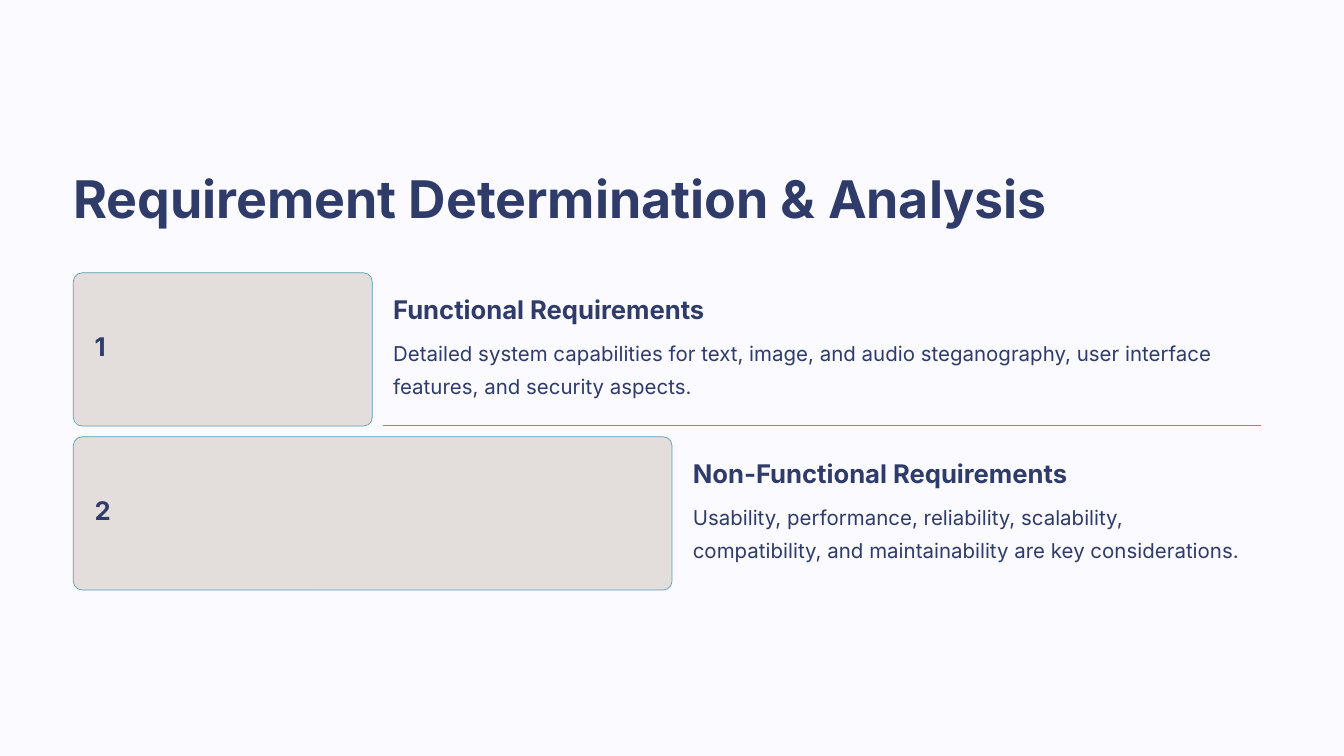
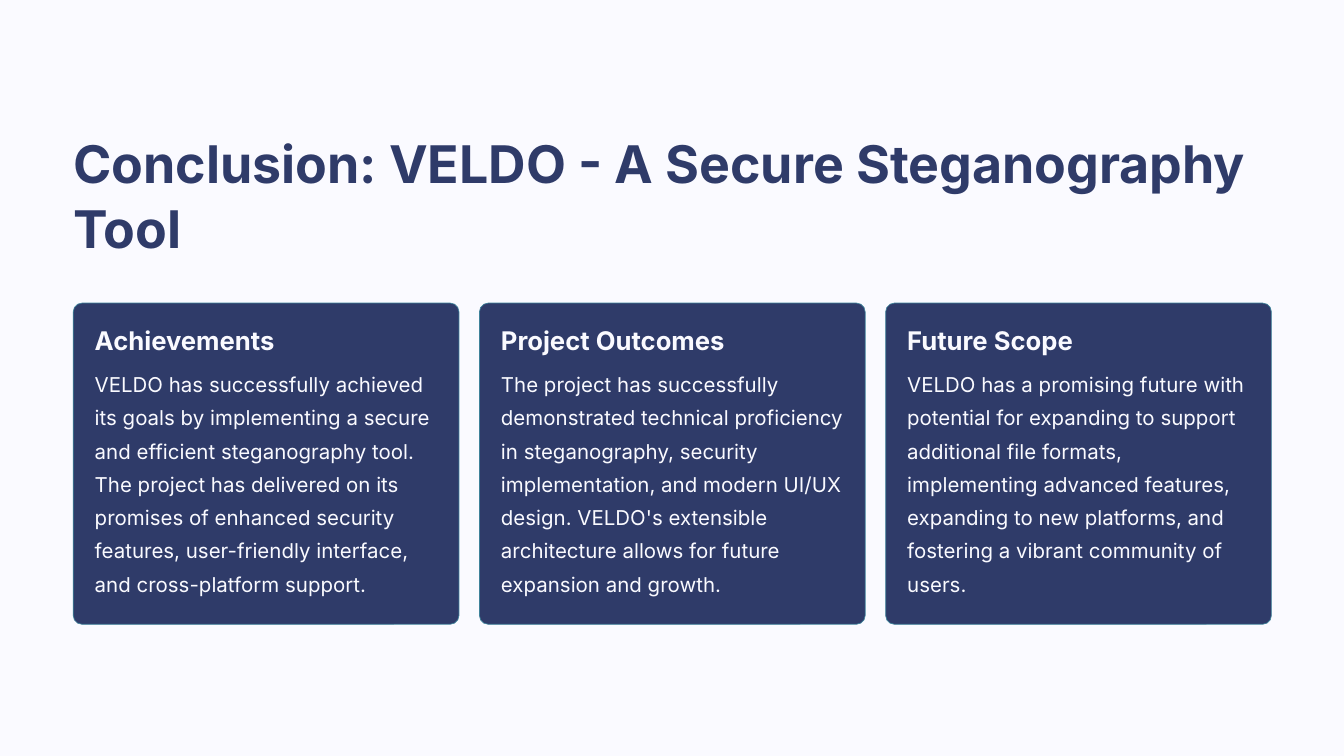
from dataclasses import dataclass

import pptx
import pptx.dml.color
import pptx.enum.shapes
import pptx.enum.text
import pptx.oxml
import pptx.oxml.ns
import pptx.util

Inches = pptx.util.Inches
Pt = pptx.util.Pt
Color = pptx.dml.color.RGBColor.from_string


@dataclass(frozen=True)
class Theme:
    font: str = "Inter"
    navy: str = "2F3B69"
    pale: str = "FAFAFF"
    sand: str = "E3DDDC"
    teal: str = "5A9CB5"
    deep_teal: str = "3E829A"
    # (size, line spacing, bold)
    title: tuple = (55.6, 69.4, True)
    heading: tuple = (27.5, 34.4, True)
    number: tuple = (27.5, 44.4, True)
    body: tuple = (21.9, 35.6, False)
    margin: float = 1.09
    padding: float = 0.32
    radius: float = 0.13


theme = Theme()


def add_text(slide, text, left, top, width, height, style, color):
    size, spacing, bold = style
    frame = slide.shapes.add_textbox(
        Inches(left), Inches(top), Inches(width), Inches(height)).text_frame
    frame.word_wrap = True
    frame.auto_size = pptx.enum.text.MSO_AUTO_SIZE.SHAPE_TO_FIT_TEXT
    frame.margin_left = frame.margin_right = 0
    frame.margin_top = frame.margin_bottom = 0
    frame.text = text
    paragraph = frame.paragraphs[0]
    paragraph.line_spacing = Pt(spacing)
    font = paragraph.runs[0].font
    font.name = theme.font
    font.size = Pt(size)
    font.bold = bold
    font.color.rgb = Color(color)


def add_card(slide, left, top, width, height, fill, outline):
    card = slide.shapes.add_shape(
        pptx.enum.shapes.MSO_SHAPE.ROUNDED_RECTANGLE,
        Inches(left), Inches(top), Inches(width), Inches(height))
    card.adjustments[0] = theme.radius / min(width, height)
    card.shadow.inherit = False
    card.fill.solid()
    card.fill.fore_color.rgb = Color(fill)
    card.line.color.rgb = Color(outline)
    card.line.width = Pt(0.75)


deck = pptx.Presentation()
deck.slide_width = Inches(20)
deck.slide_height = Inches(11.25)
backdrop = deck.slide_master.background.fill
backdrop.solid()
backdrop.fore_color.rgb = Color(theme.pale)
blank = deck.slide_layouts[6]

requirements = deck.slides.add_slide(blank)
add_text(requirements, "Requirement Determination & Analysis",
         theme.margin, 2.44, 16.41, 0.95, theme.title, theme.navy)

steps = [
    (4.45, "Functional Requirements",
     "Detailed system capabilities for text, image, and audio steganography, "
     "user interface features, and security aspects."),
    (8.91, "Non-Functional Requirements",
     "Usability, performance, reliability, scalability, compatibility, "
     "and maintainability are key considerations."),
]
first_step_top, step_height, step_pitch = 4.06, 2.28, 2.44
for index, (bar_width, heading, body) in enumerate(steps):
    top = first_step_top + index * step_pitch
    text_left = theme.margin + bar_width + 0.31
    text_width = 18.6 - text_left
    add_card(requirements, theme.margin, top, bar_width, step_height,
             theme.sand, theme.teal)
    add_text(requirements, str(index + 1), theme.margin + theme.padding,
             top + 0.71, 0.5, 0.58, theme.number, theme.navy)
    add_text(requirements, heading, text_left, top + 0.29, text_width, 0.47,
             theme.heading, theme.navy)
    add_text(requirements, body, text_left, top + 0.89, text_width, 0.96,
             theme.body, theme.navy)

divider = requirements.shapes.add_connector(
    pptx.enum.shapes.MSO_CONNECTOR.STRAIGHT,
    Inches(5.7), Inches(6.33), Inches(18.76), Inches(6.33))
divider.line.color.rgb = Color(theme.teal)
divider.line.width = Pt(1.25)
divider_properties = divider._element.spPr
divider_properties.append(pptx.oxml.parse_xml(
    "<a:effectLst %s/>" % pptx.oxml.ns.nsdecls("a")))

conclusion = deck.slides.add_slide(blank)
add_text(conclusion, "Conclusion: VELDO - A Secure Steganography Tool",
         theme.margin, 1.92, 17.83, 1.91, theme.title, theme.navy)

findings = [
    ("Achievements",
     "VELDO has successfully achieved its goals by implementing a secure and "
     "efficient steganography tool. The project has delivered on its promises "
     "of enhanced security features, user-friendly interface, and "
     "cross-platform support."),
    ("Project Outcomes",
     "The project has successfully demonstrated technical proficiency in "
     "steganography, security implementation, and modern UI/UX design. "
     "VELDO's extensible architecture allows for future expansion and growth."),
    ("Future Scope",
     "VELDO has a promising future with potential for expanding to support "
     "additional file formats, implementing advanced features, expanding to "
     "new platforms, and fostering a vibrant community of users."),
]
finding_top, finding_width, finding_height, finding_gap = 4.51, 5.74, 4.78, 0.305
for index, (heading, body) in enumerate(findings):
    left = theme.margin + index * (finding_width + finding_gap)
    text_left = left + theme.padding
    text_width = finding_width - 2 * theme.padding
    add_card(conclusion, left, finding_top, finding_width, finding_height,
             theme.navy, theme.deep_teal)
    add_text(conclusion, heading, text_left, finding_top + 0.3, text_width,
             0.47, theme.heading, theme.pale)
    add_text(conclusion, body, text_left, finding_top + 0.9, text_width,
             3.44, theme.body, theme.pale)

deck.save("out.pptx")
